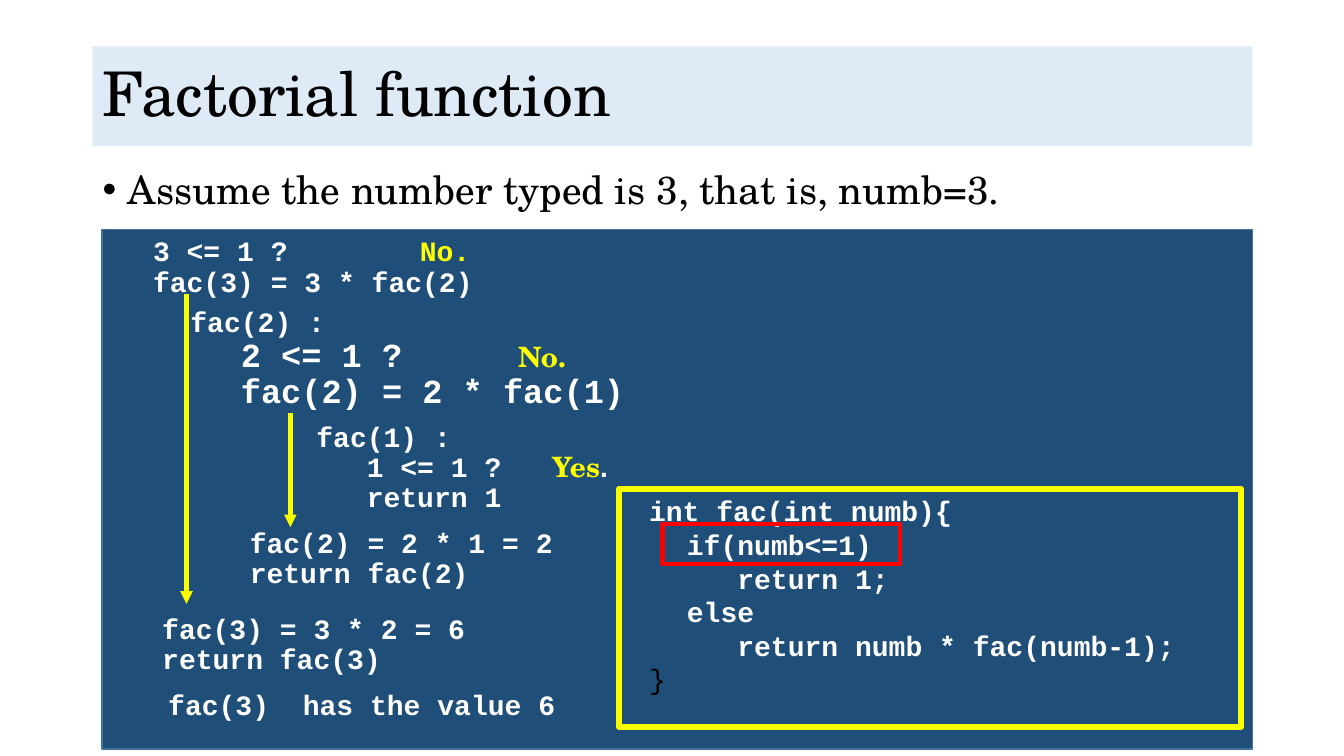
from lxml.etree import SubElement
from pptx import Presentation
from pptx.dml.color import RGBColor
from pptx.enum.shapes import MSO_CONNECTOR, MSO_SHAPE
from pptx.enum.text import MSO_ANCHOR, MSO_AUTO_SIZE, PP_ALIGN
from pptx.oxml.ns import qn
from pptx.util import Inches, Pt

SERIF, MONO, SANS = "TeX Gyre Schola", "Courier New", "Arial"
BLACK, WHITE, YELLOW, BRIGHT, RED = "000000", "FFFFFF", "FFFF00", "FAFD00", "FF0000"
NAVY, NAVY_EDGE, PALE = "1F4E79", "43739E", "DEEBF7"
LEVEL_INDENTS = [(27, -27), (58.5, -22.5), (90, -18), (126, -18)]


def color(value):
    return RGBColor.from_string(value)


def add_span(para, text, size=20, font=MONO, ink=WHITE, bold=True):
    span = para.add_run()
    span.text = text
    span.font.size = Pt(size)
    span.font.name = font
    span.font.bold = bold
    span.font.color.rgb = color(ink)


def set_indent(para, margin, first):
    properties = para._p.get_or_add_pPr()
    properties.set("marL", str(Pt(margin)))
    properties.set("indent", str(Pt(first)))


class SlideBuilder:
    """Draws elements on one page, with lengths as percentages of its size."""

    def __init__(self, deck):
        self.width, self.height = deck.slide_width, deck.slide_height
        self.page = deck.slides.add_slide(deck.slide_layouts[6])

    def place(self, left, top, width, height):
        return (round(left * self.width / 100), round(top * self.height / 100),
                round(width * self.width / 100), round(height * self.height / 100))

    def rectangle(self, area, fill=None, edge=None, weight=1):
        box = self.page.shapes.add_shape(MSO_SHAPE.RECTANGLE, *self.place(*area))
        box.shadow.inherit = False
        if fill:
            box.fill.solid()
            box.fill.fore_color.rgb = color(fill)
        else:
            box.fill.background()
        if edge:
            box.line.color.rgb = color(edge)
            box.line.width = Pt(weight)
        else:
            box.line.fill.background()
        return box

    def title(self, area, text):
        frame = self.rectangle(area, PALE).text_frame
        frame.word_wrap = True
        frame.vertical_anchor = MSO_ANCHOR.MIDDLE
        para = frame.paragraphs[0]
        para.alignment = PP_ALIGN.LEFT
        para.line_spacing = 0.9
        add_span(para, text, size=44, font=SERIF, ink=BLACK, bold=False)

    def text_frame(self, area, wrap=True, grow=True):
        frame = self.page.shapes.add_textbox(*self.place(*area)).text_frame
        frame.word_wrap = wrap
        frame.auto_size = MSO_AUTO_SIZE.SHAPE_TO_FIT_TEXT if grow else MSO_AUTO_SIZE.NONE
        return frame

    def bullet(self, area, text):
        para = self.text_frame(area, grow=False).paragraphs[0]
        para.line_spacing = 0.9
        para.space_before = Pt(10)
        set_indent(para, 18, -18)
        properties = para._p.get_or_add_pPr()
        SubElement(properties, qn("a:buFont")).set("typeface", SANS)
        SubElement(properties, qn("a:buChar")).set("char", "•")
        add_span(para, text, size=28, font=SERIF, ink=BLACK, bold=False)

    def trace(self, area, lines, wrap=True, spacing=0.9, before=0):
        frame = self.text_frame(area, wrap)
        for index, (level, *spans) in enumerate(lines):
            para = frame.add_paragraph() if index else frame.paragraphs[0]
            para.level = level
            para.line_spacing = spacing
            para.space_before = Pt(before)
            set_indent(para, *LEVEL_INDENTS[level])
            for text, style in spans:
                add_span(para, text, **style)

    def code(self, area, lines):
        frame = self.text_frame(area, wrap=False)
        for index, (margin, text, style) in enumerate(lines):
            para = frame.add_paragraph() if index else frame.paragraphs[0]
            set_indent(para, margin, 0)
            add_span(para, text, **style)

    def down_arrow(self, column, top, bottom):
        x, start, _, end = self.place(column, top, 0, bottom)
        arrow = self.page.shapes.add_connector(MSO_CONNECTOR.STRAIGHT, x, start, x, end)
        arrow.line.color.rgb = color(BRIGHT)
        arrow.line.width = Pt(3)
        SubElement(arrow.line._get_or_add_ln(), qn("a:tailEnd")).set("type", "triangle")
        SubElement(arrow._element.spPr, qn("a:effectLst"))


def main():
    deck = Presentation()
    deck.slide_width, deck.slide_height = Inches(13.33), Inches(7.5)
    slide = SlideBuilder(deck)
    plain, large = {}, {"size": 24}
    answer = {"font": SERIF, "ink": YELLOW}

    slide.rectangle((7.58, 30.4, 85.6, 68.67), NAVY, NAVY_EDGE)
    slide.title((6.9, 6.13, 86.27, 13.2), "Factorial function")
    slide.bullet((6.9, 21.87, 86.27, 68.93),
                 "Assume the number typed is 3, that is, numb=3.")

    slide.code((47.56, 64.67, 40.96, 28.27), [
        (0, "int fac(int numb){", plain),
        (27, "if(numb<=1)", plain),
        (63, "return 1;", plain),
        (27, "else", plain),
        (63, "return numb * fac(numb-1);", plain),
        (0, "}", {"ink": BLACK, "bold": False}),
    ])
    slide.rectangle((46.06, 64.67, 46.29, 31.47), edge=BRIGHT, weight=4.5)

    slide.trace((6.9, 30.8, 43.51, 9.47), [
        (1, ("3 <= 1 ? \t\t  ", plain), ("No.", {"ink": YELLOW})),
        (1, ("fac(3) = 3 * fac(2)", plain)),
    ])
    slide.trace((9.68, 40.13, 39.61, 15.07), [
        (1, ("fac(2) :", plain)),
        (2, ("2 <= 1 ? \t\t", large), ("No.", answer)),
        (2, ("fac(2) = 2 * fac(1)", large)),
    ])
    slide.trace((15.3, 55.33, 37.21, 13.47), [
        (2, ("fac(1) :", plain)),
        (3, ("1 <= 1 ?   ", plain), ("Yes", answer), (".", {"font": SANS})),
        (3, ("return 1", plain)),
    ])
    slide.trace((10.35, 69.33, 31.81, 9.47), [
        (2, ("fac(2) = 2 * 1 = 2", plain)),
        (2, ("return fac(2)", plain)),
    ], wrap=False)
    slide.trace((7.58, 80.67, 28.06, 9.6), [
        (1, ("fac(3) = 3 * 2 = 6", plain)),
        (1, ("return fac(3)", plain)),
    ], wrap=False)
    slide.trace((11.78, 90.27, 30.53, 5.87), [
        (0, ("fac(3)  has the value 6", plain)),
    ], wrap=False, spacing=1.0, before=4)

    slide.down_arrow(21.61, 54.67, 69.73)
    slide.down_arrow(13.88, 38.93, 79.87)
    slide.rectangle((49.29, 69.33, 17.7, 5.33), edge=RED, weight=3)
    deck.save("out.pptx")


if __name__ == "__main__":
    main()
